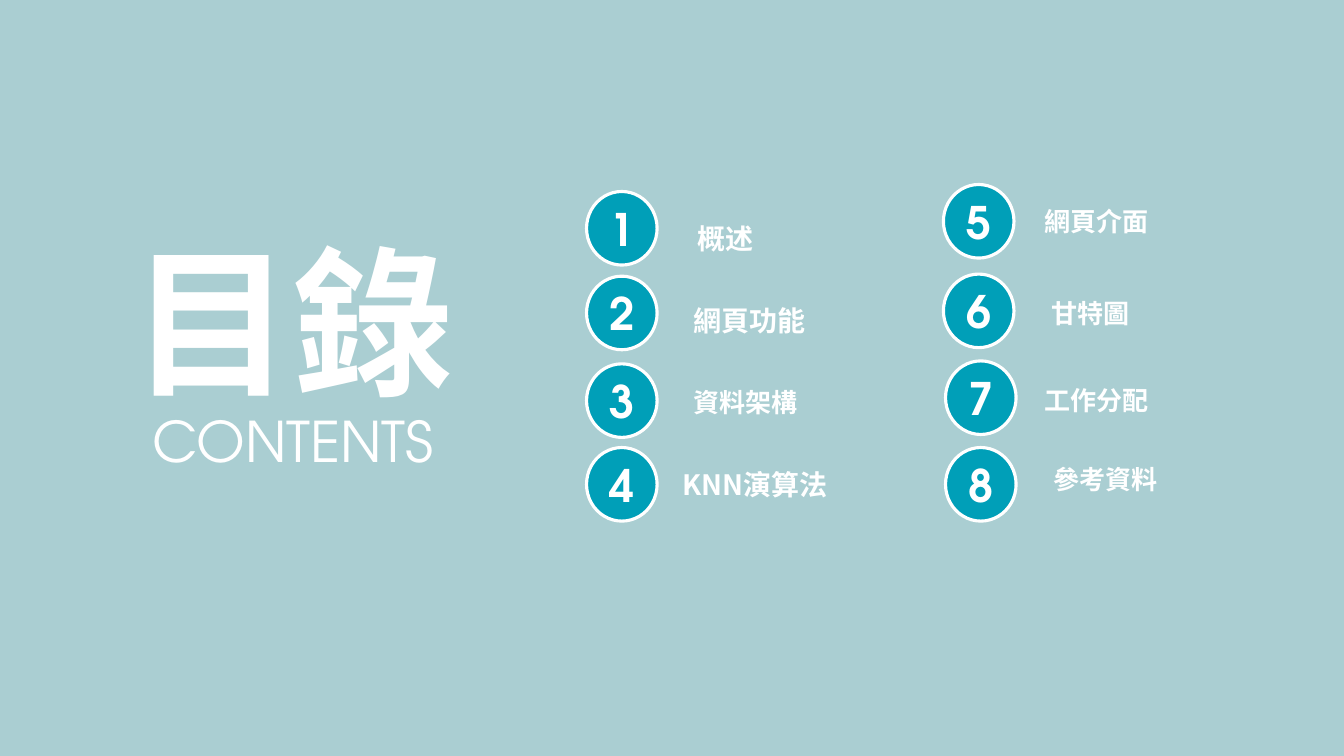
from pptx import Presentation
from pptx.dml.color import RGBColor
from pptx.enum.shapes import MSO_SHAPE
from pptx.enum.text import MSO_ANCHOR, MSO_AUTO_SIZE, PP_ALIGN
from pptx.oxml.ns import qn
from pptx.util import Pt
from lxml.etree import SubElement

COLORS = {"background": "AACED2", "teal": "009FB8", "white": "FFFFFF"}
LATIN, CHINESE = "TeX Gyre Adventor", "Noto Sans CJK SC"
BADGE_WIDTH, BADGE_HEIGHT = 50.4, 52.56

# Headings: text, left, top, width, height, size, font, bold
HEADINGS = [
    ("目錄", 85.7, 155.5, 247, 146.9, 115, CHINESE, True),
    ("CONTENTS", 100.1, 286.6, 218.2, 55.4, 40, LATIN, False),
]
# Contents: badge left, badge top, label, label left, label top, label width, style
ENTRIES = [
    (419, 136.8, "概述", 491, 154.8, 54.7, "hanging"),
    (419, 197.3, "網頁功能", 488.2, 205.9, 108.7, "spaced"),
    (419, 259.9, "資料架構", 488.2, 272.2, 108.7, "plain"),
    (419, 319.7, "KNN演算法", 480.2, 330.5, 123.1, "hanging"),
    (673.9, 131.8, "網頁介面", 738.7, 143.3, 90, "plain"),
    (673.9, 195.8, "甘特圖", 743.8, 208.8, 71.3, "plain"),
    (675.4, 257.8, "工作分配", 738.7, 271.4, 90, "plain"),
    (675.4, 319.7, "參考資料", 745.2, 327.6, 90, "plain"),
]
# Label styles: height, size, font
STYLES = {
    "hanging": (31.7, 20, CHINESE),
    "spaced": (36, 20, CHINESE),
    "plain": (29.5, 18.6, LATIN),
}


def color(name):
    return RGBColor.from_string(COLORS[name])


def write(frame, text, size, font, bold, align):
    para = frame.paragraphs[0]
    para.alignment = align
    span = para.add_run()
    span.text = text
    span.font.size, span.font.bold, span.font.name = Pt(size), bold, font
    span.font.color.rgb = color("white")
    SubElement(span.font._element, qn("a:ea")).set("typeface", CHINESE)
    return para


def add_text(page, text, left, top, width, height, size, font, bold=True,
             align=PP_ALIGN.LEFT, wrap=False):
    box = page.shapes.add_textbox(Pt(left), Pt(top), Pt(width), Pt(height))
    box.text_frame.word_wrap = wrap
    box.text_frame.auto_size = MSO_AUTO_SIZE.SHAPE_TO_FIT_TEXT
    return write(box.text_frame, text, size, font, bold, align)


def add_badge(page, number, left, top):
    badge = page.shapes.add_shape(MSO_SHAPE.OVAL, Pt(left), Pt(top),
                                  Pt(BADGE_WIDTH), Pt(BADGE_HEIGHT))
    badge.shadow.inherit = False
    badge.fill.solid()
    badge.fill.fore_color.rgb = color("teal")
    badge.line.color.rgb = color("white")
    badge.line.width = Pt(2.25)
    badge.text_frame.vertical_anchor = MSO_ANCHOR.MIDDLE
    write(badge.text_frame, str(number), 32, LATIN, True, PP_ALIGN.CENTER)


def main():
    deck = Presentation()
    deck.slide_width, deck.slide_height = Pt(960), Pt(540)
    page = deck.slides.add_slide(deck.slide_layouts[6])
    page.background.fill.solid()
    page.background.fill.fore_color.rgb = color("background")

    # Title block
    for heading in HEADINGS:
        add_text(page, *heading, align=PP_ALIGN.CENTER)

    # Numbered contents
    for number, entry in enumerate(ENTRIES, 1):
        badge_left, badge_top, label, left, top, width, style = entry
        add_badge(page, number, badge_left, badge_top)
        height, size, font = STYLES[style]
        para = add_text(page, label, left, top, width, height, size, font,
                        wrap=width > 100 and style != "hanging")
        if style == "spaced":
            para.line_spacing = 1.3
        elif style == "hanging":
            properties = para._p.get_or_add_pPr()
            properties.set("marL", str(Pt(40)))
            properties.set("indent", str(Pt(-40)))

    deck.save("out.pptx")


if __name__ == "__main__":
    main()
